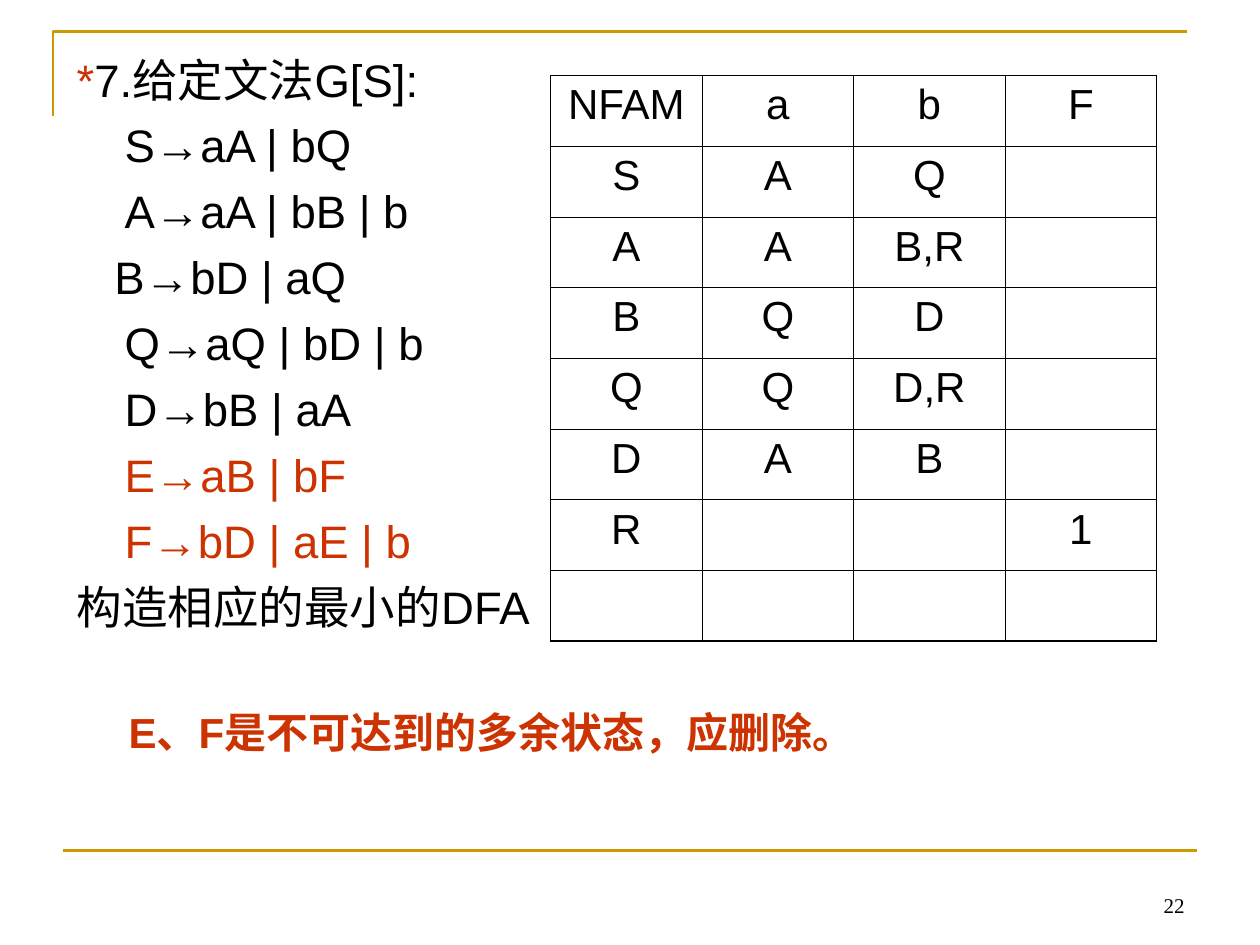
from itertools import product

from lxml.etree import SubElement
from pptx import Presentation
from pptx.dml.color import RGBColor
from pptx.enum.shapes import MSO_CONNECTOR
from pptx.enum.text import MSO_ANCHOR, PP_ALIGN
from pptx.oxml import parse_xml
from pptx.oxml.ns import nsdecls, qn
from pptx.util import Inches, Pt

COLORS = {"gold": "CC9900", "red": "CC3300", "black": "000000"}
RULES = [
    ("S→aA | bQ", "black", 0.38),
    ("A→aA | bB | b", "black", 0.38),
    ("B→bD | aQ", "black", 0.3),
    ("Q→aQ | bD | b", "black", 0.38),
    ("D→bB | aA", "black", 0.38),
    ("E→aB | bF", "red", 0.38),
    ("F→bD | aE | b", "red", 0.38),
]
STATES = [
    ["NFAM", "a", "b", "F"],
    ["S", "A", "Q", ""],
    ["A", "A", "B,R", ""],
    ["B", "Q", "D", ""],
    ["Q", "Q", "D,R", ""],
    ["D", "A", "B", ""],
    ["R", "", "", "1"],
    ["", "", "", ""],
]


def style(item, values):
    for name, value in values.items():
        setattr(item, name, value)


def color(name):
    return RGBColor.from_string(COLORS[name])


def write(para, text, size, tint="black", face="Arial", bold=False):
    run = para.add_run()
    run.text = text
    style(run.font, {"size": Pt(size), "name": face, "bold": bold})
    run.font.color.rgb = color(tint)


def add_text(slide, box, anchor=MSO_ANCHOR.TOP):
    frame = slide.shapes.add_textbox(*map(Inches, box)).text_frame
    style(frame, {"word_wrap": True, "vertical_anchor": anchor})
    return frame


def add_corner(slide, box):
    left, top, width, height = map(Inches, box)
    build = slide.shapes.build_freeform(left, top + height)
    build.add_line_segments([(left, top), (left + width, top)], close=False)
    shape = build.convert_to_shape()
    shape.shadow.inherit = False
    shape.fill.background()
    shape.line.color.rgb = color("gold")
    shape.line.width = Pt(1.5)


def add_footer(slide, box):
    left, top, width, height = box
    ends = map(Inches, (left, top, left + width, top))
    line = slide.shapes.add_connector(MSO_CONNECTOR.STRAIGHT, *ends)
    line.line.color.rgb = color("gold")
    line.line.width = Pt(1.5)
    SubElement(line._element.spPr, qn("a:effectLst"))
    number = (left + width - 2.33, top + 0.08, 2.33, height - 0.08)
    para = add_text(slide, number, MSO_ANCHOR.BOTTOM).paragraphs[0]
    para.alignment = PP_ALIGN.RIGHT
    write(para, "22", 12, face="Times New Roman")


def add_grammar(slide, box):
    frame = add_text(slide, box)
    first = frame.paragraphs[0]
    first.space_before = Pt(6.5)
    write(first, "*", 26, "red")
    write(first, "7.给定文法G[S]:", 26)
    for text, tint, indent in RULES + [("构造相应的最小的DFA", "black", 0)]:
        para = frame.add_paragraph()
        para.space_before = Pt(6.5)
        para._p.get_or_add_pPr().set("marL", str(Inches(indent)))
        write(para, text, 26, tint)


def add_borders(cell, outer):
    props = cell._tc.get_or_add_tcPr()
    for place, (side, edge) in enumerate(zip("LRTB", outer)):
        width = Pt(1.08 if edge else 0.45)
        props.insert(place, parse_xml(
            f'<a:ln{side} {nsdecls("a")} w="{width}"><a:solidFill>'
            f'<a:srgbClr val="{COLORS["black"]}"/></a:solidFill></a:ln{side}>'))


def add_states(slide, box):
    rows, cols = len(STATES), len(STATES[0])
    table = slide.shapes.add_table(rows, cols, *map(Inches, box)).table
    style(table, {"first_row": False, "horz_banding": False})
    for row, col in product(range(rows), range(cols)):
        cell = table.cell(row, col)
        cell.fill.background()
        add_borders(cell, (col == 0, col == cols - 1, row == 0, row == rows - 1))
        if STATES[row][col]:
            para = cell.text_frame.paragraphs[0]
            style(para, {"alignment": PP_ALIGN.CENTER, "space_before": Pt(6)})
            write(para, STATES[row][col], 24)


def add_remark(slide, box):
    para = add_text(slide, box).paragraphs[0]
    style(para, {"alignment": PP_ALIGN.CENTER, "space_before": Pt(15)})
    write(para, "E、F是不可达到的多余状态，应删除。", 24, "red", bold=True)


def main():
    deck = Presentation()
    style(deck, {"slide_width": Inches(10), "slide_height": Inches(7.5)})
    slide = deck.slides.add_slide(deck.slide_layouts[6])
    add_corner(slide, (0.42, 0.25, 9, 0.67))
    add_footer(slide, (0.5, 6.75, 9, 0.58))
    add_grammar(slide, (0.51, 0.36, 4.42, 4.95))
    add_states(slide, (4.37, 0.6, 4.81, 4.49))
    add_remark(slide, (0.67, 5.56, 6.46, 0.5))
    deck.save("out.pptx")


if __name__ == "__main__":
    main()
